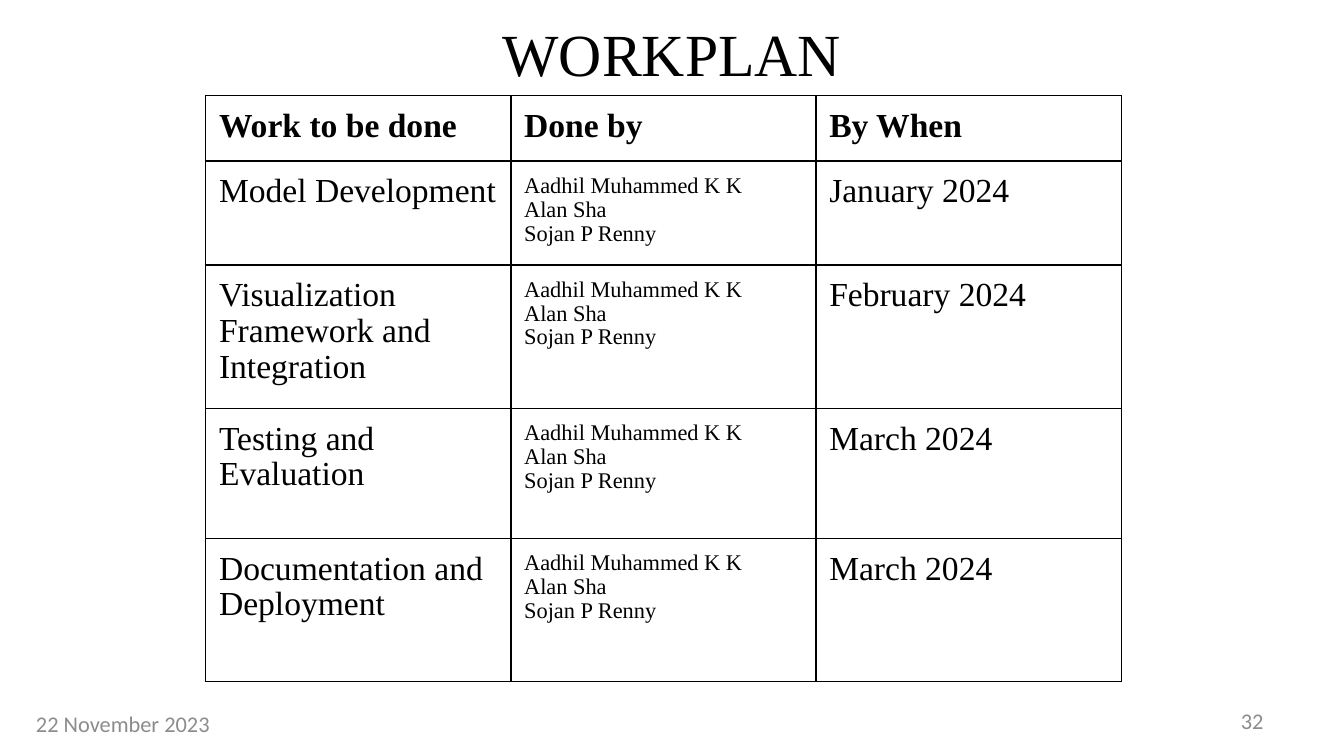
from dataclasses import dataclass

from lxml.etree import SubElement
from pptx import Presentation
from pptx.dml.color import RGBColor as Rgb
from pptx.enum.text import MSO_ANCHOR as Anchor, PP_ALIGN as Align
from pptx.oxml.ns import qn
from pptx.util import Cm, Pt


@dataclass(frozen=True)
class Theme:
    ink: str = "000000"
    paper: str = "FFFFFF"
    muted: str = "8C8C8C"
    serif: str = "Times New Roman"
    sans: str = "Calibri"
    title_size: float = 32
    entry_size: float = 18
    small_size: float = 12
    rule_width: float = 0.75
    leading: float = 0.96


THEME = Theme()
TEAM = "Aadhil Muhammed K K\nAlan Sha\nSojan P Renny"
HEADINGS = ("Work to be done", "Done by", "By When")
TASKS = (
    ("Model Development", "January 2024"),
    ("Visualization Framework and Integration", "February 2024"),
    ("Testing and Evaluation", "March 2024"),
    ("Documentation and Deployment", "March 2024"),
)
ROW_HEIGHTS = (1.23, 1.96, 2.71, 2.46, 2.71)


def style(paragraph, size, face=THEME.serif, color=THEME.ink, bold=False):
    font = paragraph.font
    font.size, font.name, font.bold = Pt(size), face, bold
    font.color.rgb = Rgb.from_string(color)


def place_title(slide, words, left, top, width, height):
    title = slide.shapes.title
    title.left, title.top = Cm(left), Cm(top)
    title.width, title.height = Cm(width), Cm(height)
    title.text_frame.text = words
    title.text_frame.vertical_anchor = Anchor.MIDDLE
    heading = title.text_frame.paragraphs[0]
    heading.alignment = Align.CENTER
    style(heading, THEME.title_size)


def rule_cell(cell):
    properties = cell._tc.get_or_add_tcPr()
    for side in ("lnL", "lnR", "lnT", "lnB"):
        rule = SubElement(properties, qn(f"a:{side}"), w=str(Pt(THEME.rule_width)))
        ink = SubElement(rule, qn("a:solidFill"))
        SubElement(ink, qn("a:srgbClr"), val=THEME.ink)


def fill_cell(cell, words, size, bold):
    rule_cell(cell)
    cell.fill.solid()
    cell.fill.fore_color.rgb = Rgb.from_string(THEME.paper)
    cell.margin_left = cell.margin_right = Cm(0.25)
    cell.margin_top = cell.margin_bottom = Cm(0.25)
    cell.vertical_anchor = Anchor.TOP
    cell.text_frame.text = words
    for paragraph in cell.text_frame.paragraphs:
        paragraph.line_spacing = THEME.leading
        style(paragraph, size, bold=bold)


def place_workplan(slide, left, top, width, height):
    entries = [HEADINGS] + [(task, TEAM, deadline) for task, deadline in TASKS]
    workplan = slide.shapes.add_table(
        len(entries), len(HEADINGS), Cm(left), Cm(top), Cm(width), Cm(height)
    ).table
    workplan.first_row = workplan.horz_banding = False
    for column in workplan.columns:
        column.width = Cm(width / len(HEADINGS))
    for row, row_height in zip(workplan.rows, ROW_HEIGHTS):
        row.height = Cm(row_height)
    for r, entry in enumerate(entries):
        for c, words in enumerate(entry):
            size = THEME.small_size if words == TEAM else THEME.entry_size
            fill_cell(workplan.cell(r, c), words, size, bold=r == 0)


def place_footer(slide, words, alignment, left, top, width, height):
    footer = slide.shapes.add_textbox(Cm(left), Cm(top), Cm(width), Cm(height)).text_frame
    footer.word_wrap = True
    footer.vertical_anchor = Anchor.MIDDLE
    footer.text = words
    footer.paragraphs[0].alignment = alignment
    style(footer.paragraphs[0], THEME.small_size, THEME.sans, THEME.muted)


def main():
    deck = Presentation()
    deck.slide_width, deck.slide_height = Cm(25.4), Cm(14.29)
    slide = deck.slides.add_slide(deck.slide_layouts[5])
    place_title(slide, "WORKPLAN", 1.27, -0.2, 22.86, 2.39)
    place_footer(slide, "32", Align.RIGHT, 18.2, 13.24, 5.93, 0.76)
    place_workplan(slide, 3.89, 1.81, 17.3, sum(ROW_HEIGHTS))
    place_footer(slide, "22 November 2023", Align.LEFT, 0.43, 13.29, 5.93, 0.76)
    deck.save("out.pptx")


if __name__ == "__main__":
    main()
